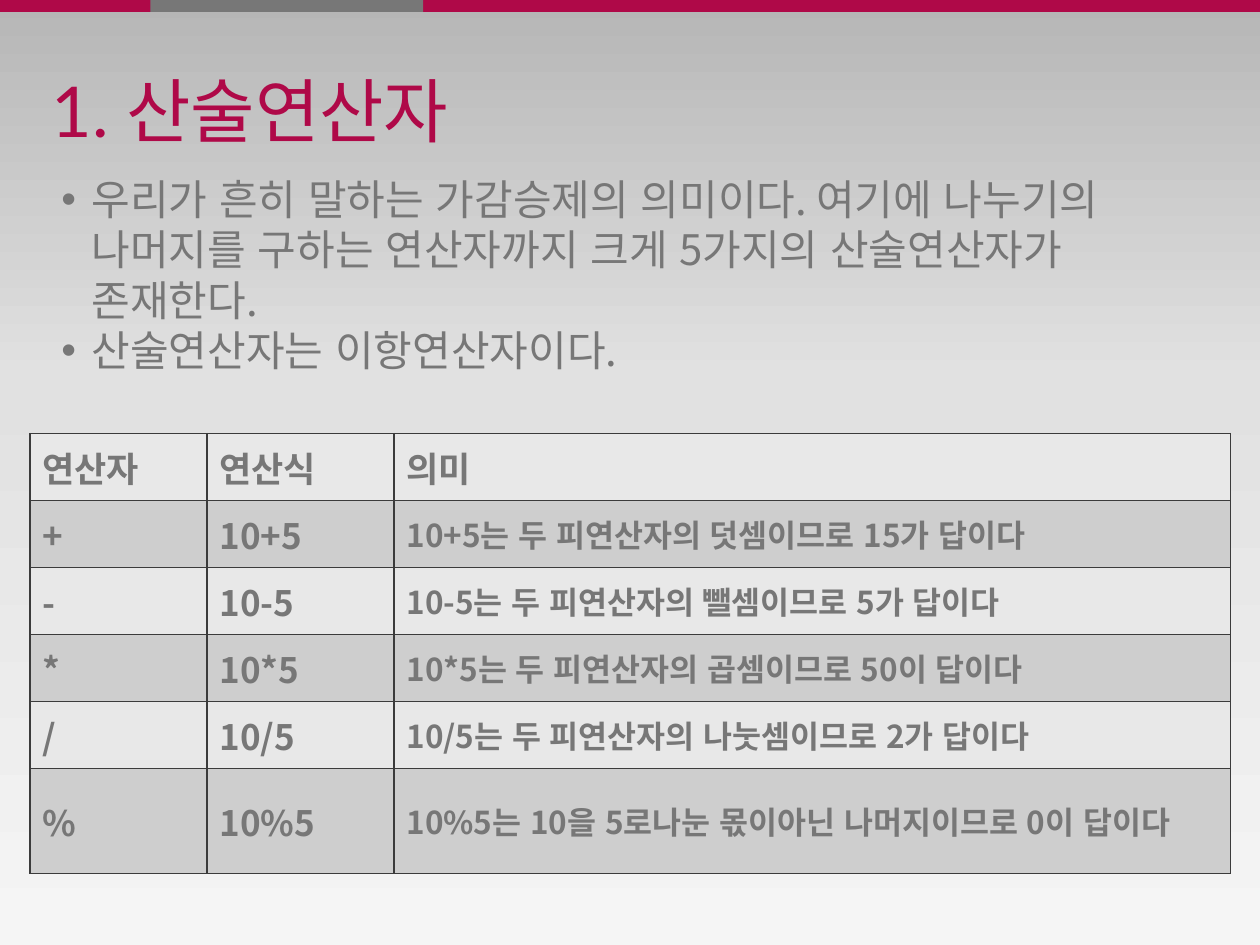
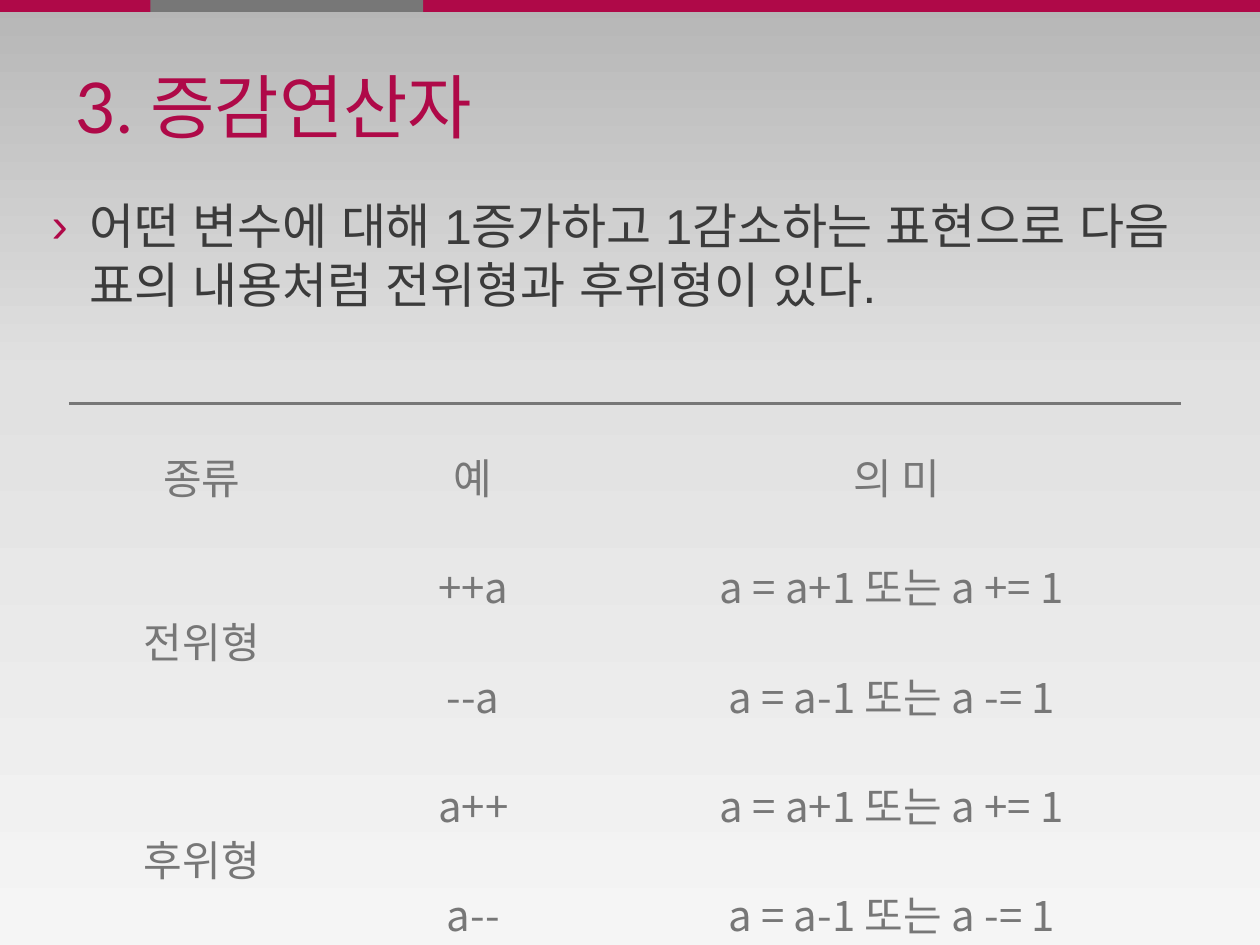
from lxml import etree
from pptx import Presentation
from pptx.dml.color import RGBColor
from pptx.enum.shapes import MSO_SHAPE
from pptx.enum.text import MSO_ANCHOR, PP_ALIGN
from pptx.oxml.ns import qn
from pptx.util import Cm, Pt

RECTANGLE = MSO_SHAPE.RECTANGLE
MIDDLE = MSO_ANCHOR.MIDDLE
LEFT, CENTER = PP_ALIGN.LEFT, PP_ALIGN.CENTER

COLORS = {
    "accent": "AF0948",
    "gray": "777777",
    "dark": "3B3B3B",
    "light_row": "E8E8E8",
    "dark_row": "CECECE",
}
BACKGROUND_STOPS = [(0, "B6B6B6"), (40, "E1E1E1"), (100, "F5F5F5")]
KOREAN_FONT = "Noto Sans CJK KR"
TITLE_FONT = "Lato"
BODY_FONT = "Arial"
TITLE_ONLY = 5
PLAIN_TABLE = "{2D5ABB26-0587-4C30-8999-92F81FD0307C}"

OPERATORS = [
    ("연산자", "연산식", "의미"),
    ("+", "10+5", "10+5는 두 피연산자의 덧셈이므로 15가 답이다"),
    ("-", "10-5", "10-5는 두 피연산자의 뺄셈이므로 5가 답이다"),
    ("*", "10*5", "10*5는 두 피연산자의 곱셈이므로 50이 답이다"),
    ("/", "10/5", "10/5는 두 피연산자의 나눗셈이므로 2가 답이다"),
    ("%", "10%5", "10%5는 10을 5로나눈 몫이아닌 나머지이므로 0이 답이다"),
]
INCREMENTS = [
    ("종류", "예", "의 미"),
    ("전위형", "++a", "a = a+1 또는 a += 1 "),
    ("", "--a", "a = a-1 또는 a -= 1 "),
    ("후위형", "a++", "a = a+1 또는 a += 1 "),
    ("", "a--", "a = a-1 또는 a -= 1 "),
]


def rgb(name):
    return RGBColor.from_string(COLORS[name])


def add_element(parent, tag, **attributes):
    return etree.SubElement(parent, qn(tag), attributes)


def format_runs(paragraph, font, size, color, bold=False,
                east_asian=KOREAN_FONT):
    for run in paragraph.runs:
        run.font.name = font
        run.font.size = Pt(size)
        run.font.bold = bold
        run.font.color.rgb = rgb(color)
        add_element(run._r.get_or_add_rPr(), "a:ea", typeface=east_asian)


def set_background(master):
    fill = master.background.fill
    fill.gradient()
    fill.gradient_angle = 270
    stops = master.element.find(".//" + qn("a:gsLst"))
    for stop in list(stops):
        stops.remove(stop)
    for percent, color in BACKGROUND_STOPS:
        stop = add_element(stops, "a:gs", pos=str(percent * 1000))
        add_element(stop, "a:srgbClr", val=color)


def add_band(slide, left, width, color):
    band = slide.shapes.add_shape(RECTANGLE, Cm(left), 0, Cm(width), Cm(0.24))
    band.shadow.inherit = False
    band.fill.solid()
    band.fill.fore_color.rgb = rgb(color)
    band.line.fill.background()


def add_titled_slide(prs, text, box):
    slide = prs.slides.add_slide(prs.slide_layouts[TITLE_ONLY])
    add_band(slide, 0, 25.4, "accent")
    add_band(slide, 3.03, 5.5, "gray")
    title = slide.shapes.title
    title.left, title.top, title.width, title.height = map(Cm, box)
    frame = title.text_frame
    frame.text = text
    frame.vertical_anchor = MIDDLE
    frame.paragraphs[0].alignment = LEFT
    format_runs(frame.paragraphs[0], TITLE_FONT, 40, "accent")
    return slide


def add_bullets(slide, box, items, mark, hang, spacing, font, size, color,
                mark_color, space_before=0):
    frame = slide.shapes.add_textbox(*map(Cm, box)).text_frame
    frame.word_wrap = True
    frame.text = "\n".join(items)
    for paragraph in frame.paragraphs:
        paragraph.line_spacing = Pt(spacing)
        paragraph.space_before = Pt(space_before)
        format_runs(paragraph, font, size, color, east_asian=BODY_FONT)
        properties = paragraph._p.get_or_add_pPr()
        properties.set("marL", str(Cm(hang)))
        properties.set("indent", str(-Cm(hang)))
        bullet_color = add_element(properties, "a:buClr")
        add_element(bullet_color, "a:srgbClr", val=COLORS[mark_color])
        add_element(properties, "a:buFont", typeface=BODY_FONT)
        add_element(properties, "a:buChar", char=mark)


def add_plain_table(slide, left, top, column_widths, row_height, rows):
    """Add a table without style colours or borders and fill in its text."""
    frame = slide.shapes.add_table(
        len(rows), len(column_widths), Cm(left), Cm(top),
        Cm(sum(column_widths)), Cm(row_height * len(rows)))
    table = frame.table
    table.first_row = table.horz_banding = False
    table._tbl.tblPr.find(qn("a:tableStyleId")).text = PLAIN_TABLE
    for column, width in zip(table.columns, column_widths):
        column.width = Cm(width)
    for row, texts in zip(table.rows, rows):
        row.height = Cm(row_height)
        for cell, text in zip(row.cells, texts):
            cell.text = text
            cell.vertical_anchor = MIDDLE
    return table


def add_borders(cell, sides, width, color):
    """Draw the sides, given as letters in the order L, R, T, B."""
    for side in sides:
        line = add_element(cell._tc.get_or_add_tcPr(), "a:ln" + side,
                           w=str(Pt(width)))
        fill = add_element(line, "a:solidFill")
        add_element(fill, "a:srgbClr", val=COLORS[color])


def add_operator_table(slide, left, top):
    table = add_plain_table(slide, left, top, (3.57, 3.77, 16.87), 1.35,
                            OPERATORS)
    table.rows[len(OPERATORS) - 1].height = Cm(2.12)
    for row_index, row in enumerate(table.rows):
        for column_index, cell in enumerate(row.cells):
            paragraph = cell.text_frame.paragraphs[0]
            is_explanation = row_index > 0 and column_index == 2
            if is_explanation:
                paragraph.line_spacing = Pt(25.7)
            format_runs(paragraph, KOREAN_FONT, 18 if is_explanation else 20,
                        "gray", bold=True,
                        east_asian=BODY_FONT if is_explanation else KOREAN_FONT)
            add_borders(cell, "LRTB", 1, "dark")
            cell.fill.solid()
            cell.fill.fore_color.rgb = rgb(
                "dark_row" if row_index % 2 else "light_row")


def add_increment_table(slide, left, top):
    table = add_plain_table(slide, left, top, (5.36, 5.58, 11.48), 2.2,
                            INCREMENTS)
    last_row = len(INCREMENTS) - 1
    for row_index, row in enumerate(table.rows):
        for cell in row.cells:
            paragraph = cell.text_frame.paragraphs[0]
            paragraph.alignment = CENTER
            paragraph.line_spacing = 1.6
            format_runs(paragraph, KOREAN_FONT, 24, "gray")
            if row_index == 0:
                add_borders(cell, "T", 1.79, "gray")
            if row_index == last_row:
                add_borders(cell, "B", 1.79, "gray")
            cell.fill.background()
    for first in (1, 3):
        table.cell(first, 0).merge(table.cell(first + 1, 0))


def build_arithmetic_slide(prs):
    slide = add_titled_slide(prs, "1. 산술연산자", (0.79, 1.22, 24, 1.96))
    add_operator_table(slide, 0.6, 8.74)
    add_bullets(
        slide, (0.99, 3.37, 22.02, 4.32),
        ["우리가 흔히 말하는 가감승제의 의미이다. 여기에 나누기의 나머지를 "
         "구하는 연산자까지 크게 5가지의 산술연산자가 존재한다.",
         "산술연산자는 이항연산자이다."],
        "•", 0.61, 28.8, KOREAN_FONT, 24, "gray", "gray")


def build_increment_slide(prs):
    slide = add_titled_slide(prs, "3. 증감연산자", (1.27, 0.84, 22.86, 2.57))
    add_bullets(
        slide, (0.79, 3.83, 24, 3.33),
        ["어떤 변수에 대해 1증가하고 1감소하는 표현으로 다음 표의 내용처럼 "
         "전위형과 후위형이 있다."],
        "›", 0.76, 33.4, BODY_FONT, 28, "dark", "accent", space_before=5.6)
    add_increment_table(slide, 1.39, 8.13)


def main():
    prs = Presentation()
    prs.slide_width, prs.slide_height = Cm(25.4), Cm(19.05)
    set_background(prs.slide_master)
    build_arithmetic_slide(prs)
    build_increment_slide(prs)
    prs.save("out.pptx")


if __name__ == "__main__":
    main()
